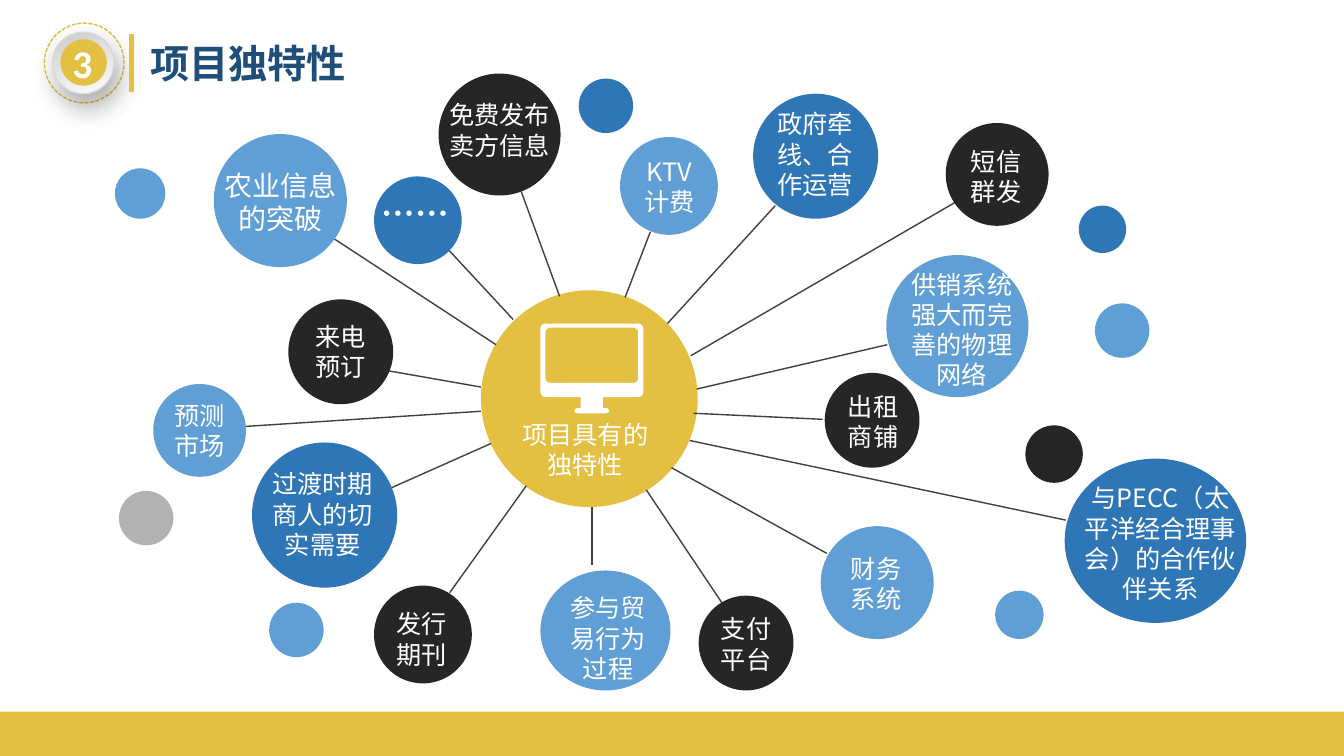
from math import cos, sin, pi
from lxml.etree import SubElement
from pptx import Presentation
from pptx.dml.color import RGBColor
from pptx.enum.dml import MSO_LINE_DASH_STYLE as Dash
from pptx.enum.shapes import MSO_CONNECTOR as Link, MSO_SHAPE as Shape
from pptx.enum.text import MSO_AUTO_SIZE as Fit, PP_ALIGN as Align
from pptx.oxml.ns import qn
from pptx.util import Emu, Inches, Pt

HUES = {
    "gold": "E3BF42", "navy": "1F4E79", "blue": "2F76B7", "sky": "609ED6",
    "black": "262626", "grey": "B2B2B2", "line": "404040", "white": "FFFFFF",
    "rim": "D9D9D9", "dim": "CCCCCC", "pale": "FCFCFC", "shade": "000000",
}
CELL = Inches(0.1)  # the grid is 133.3 columns by 75 rows
HAN, LATIN = "Noto Sans CJK SC", "Calibri"

# from column, from row, to column, to row
SPOKES = [
    (68.4, 43.7, 105.7, 51.6), (66.6, 46.4, 82, 54.9), (64.1, 48.6, 71.6, 59.8),
    (58.7, 50.3, 58.7, 56.1), (33, 23.6, 49.2, 34.2), (51.7, 19, 55.5, 29.4),
    (76.9, 20.4, 66.2, 32.1), (88, 34.2, 69.1, 38.6), (94.7, 20.1, 68.5, 35.3),
    (64.5, 23, 62, 29.5), (48.7, 44, 38.8, 48.4), (47.7, 38.4, 38.6, 36.8),
    (52.2, 48.2, 44.6, 58.8), (47.7, 40.8, 24.4, 42.3), (81.6, 41.6, 68.8, 41),
    (44.5, 24.8, 50.9, 31.7),
]

# hue, column, row, width
DOTS = [
    ("blue", 57.4, 7.8, 5.4), ("sky", 26.7, 59.8, 5.4), ("blue", 107, 20.4, 4.7),
    ("sky", 98.7, 58.6, 4.8), ("black", 101.7, 42.2, 5.7), ("grey", 11.8, 48.7, 5.4),
    ("sky", 11.4, 16.7, 5), ("sky", 108.6, 30.1, 5.4),
]

# hue, disc box, words, lines, left, top and width of the words
TOPICS = [
    ("sky", (87.9, 25.3, 14.1, 14.1), "供销系统强大而完善的物理网络", 4, (88.6, 26.2, 13.6)),
    ("blue", (105.6, 45.5, 18, 16.3), "与PECC（太平洋经合理事会）的合作伙伴关系", 4, (106.6, 47.4, 17)),
    ("blue", (25, 43.9, 14.4, 14.4), "过渡时期商人的切实需要", 3, (25.2, 46, 13.6)),
    ("black", (43.5, 7.3, 12.1, 12.1), "免费发布卖方信息", 2, (43.5, 9.4, 12.1)),
    ("blue", (74.7, 9.3, 12.4, 12.4), "政府牵线、合作运营", 3, (75.2, 10.3, 11.3)),
    ("sky", (61.5, 13.6, 9.7, 9.7), "KTV计费", 2, (62, 15, 8.8)),
    ("black", (93.8, 12.2, 10.2, 10.2), "短信群发", 2, (94.4, 14, 8.8)),
    ("sky", (81.4, 52.2, 11.2, 11.2), "财务系统", 2, (82.5, 54.4, 8.8)),
    ("sky", (53.6, 56.6, 12.9, 11.9), "参与贸易行为过程", 3, (54.4, 58.3, 11.8)),
    ("sky", (21.2, 13.3, 13.2, 13.2), "农业信息的突破", 2, (21.2, 16.2, 13.2), 20),
    ("black", (28.6, 29.7, 10.4, 10.4), "来电预订", 2, (29.3, 31.4, 8.9)),
    ("black", (37.1, 58.1, 9.7, 9.7), "发行期刊", 2, (37.4, 59.9, 8.8)),
    ("black", (69.3, 59.1, 9.4, 9.4), "支付平台", 2, (69.6, 60.4, 8.8)),
    ("sky", (15.2, 38.1, 9.2, 9.2), "预测市场", 2, (15.4, 39.2, 8.8)),
    ("black", (81.8, 37, 9.4, 9.4), "出租商铺", 2, (82.2, 38.3, 8.8)),
    ("blue", (37.1, 17.5, 8.7, 8.7), "……", 1, (36.8, 18.6, 8.8), 24, True),
]


def grid(*cells):
    return [Emu(round(cell * CELL)) for cell in cells]


def rgb(hue):
    return RGBColor.from_string(HUES[hue])


def curve(left, top, wide, high, bend, steps=6):
    """Points of a box with rounded corners, clockwise from the top left."""
    hubs = [(left + bend, top + bend), (left + wide - bend, top + bend),
            (left + wide - bend, top + high - bend), (left + bend, top + high - bend)]
    return [grid(x + bend * cos(turn), y + bend * sin(turn))
            for side, (x, y) in enumerate(hubs)
            for turn in (pi + (side + step / steps) * pi / 2 for step in range(steps + 1))]


class Board:
    def __init__(self, deck):
        self.slide = deck.slides.add_slide(deck.slide_layouts[6])
        self.items = self.slide.shapes

    def paint(self, item, fill, edge=None):
        item.shadow.inherit = False
        if fill:
            item.fill.solid()
            item.fill.fore_color.rgb = rgb(fill)
        else:
            item.fill.background()
        if edge:
            item.line.color.rgb = rgb(edge)
            item.line.width = Pt(1)
        else:
            item.line.fill.background()
        return item

    def block(self, box, fill, edge=None):
        return self.paint(self.items.add_shape(Shape.RECTANGLE, *grid(*box)), fill, edge)

    def disc(self, box, fill, edge=None):
        return self.paint(self.items.add_shape(Shape.OVAL, *grid(*box)), fill, edge)

    def spoke(self, *ends):
        link = self.items.add_connector(Link.STRAIGHT, *grid(*ends))
        link.line.color.rgb = rgb("line")
        link.line.width = Pt(1)
        SubElement(link._element.spPr, qn("a:effectLst"))

    def form(self, *boxes):
        """Draw rounded boxes as one outline; an inner box cuts a hole."""
        paths = [curve(*box) for box in boxes]
        pen = self.items.build_freeform(*paths[0][0])
        for count, path in enumerate(paths):
            if count:
                pen.move_to(*path[0])
            pen.add_line_segments(path[1:], close=True)
        self.paint(pen.convert_to_shape(), "white")

    def words(self, text, lines, place, size=18, bold=False, hue="white",
              font=HAN, wrap=True):
        left, top, wide = place
        high = 1 + lines * size / 6  # insets plus lines spaced at 1.2
        frame = self.items.add_textbox(*grid(left, top, wide, high)).text_frame
        frame.word_wrap = wrap
        frame.auto_size = Fit.SHAPE_TO_FIT_TEXT
        para = frame.paragraphs[0]
        para.alignment = Align.CENTER if wrap else Align.LEFT
        run = para.add_run()
        run.text = text
        run.font.size = Pt(size)
        run.font.bold = bold
        run.font.color.rgb = rgb(hue)
        run.font.name = font
        SubElement(run._r.rPr, qn("a:ea"), typeface=font)

    def plate(self, box):
        """Draw the shaded disc under the slide's number."""
        item = self.disc(box, "pale", "rim")
        item.fill.gradient()
        item.fill.gradient_angle = 290
        for stop, hue in zip(item.fill.gradient_stops, ("dim", "pale")):
            stop.color.rgb = rgb(hue)
        glow = SubElement(item._element.spPr.find(qn("a:effectLst")), qn("a:outerShdw"),
                          blurRad=str(Pt(20)), dist=str(Pt(10)), dir="4200000",
                          algn="ctr", rotWithShape="0")
        tone = SubElement(glow, qn("a:srgbClr"), val=HUES["shade"])
        SubElement(tone, qn("a:alpha"), val="34000")

    def topic(self, hue, box, text, lines, place, size=18, bold=False):
        self.disc(box, hue)
        self.words(text, lines, place, size, bold)


def main():
    deck = Presentation()
    deck.slide_width, deck.slide_height = Inches(13.33), Inches(7.5)
    board = Board(deck)
    board.block((0, 70.6, 133.3, 4.4), "gold")

    board.disc((4.4, 2.3, 7.9, 7.9), None, "gold").line.dash_style = Dash.SQUARE_DOT
    board.plate((5.2, 3.2, 6.1, 6.1))
    board.disc((6, 3.9, 4.6, 4.6), "gold")
    board.words("3", 1, (6.2, 3.4, 4), 28, True, font=LATIN, wrap=False)
    board.words("项目独特性", 1, (13.9, 3.4, 21.7), 28, True, "navy", wrap=False)
    board.block((12.9, 3.4, 0.3, 5.7), "gold", "gold")

    board.disc((47.7, 28.8, 21.5, 21.5), "gold")
    board.form((53.6, 32.1, 10.2, 7.3, 0.5), (54.1, 32.5, 9.2, 5.5, 0.5))
    board.form((57, 40.5, 3.4, 0.5, 0.25), (57.6, 39.2, 2.2, 1.3, 0))
    for ends in SPOKES:
        board.spoke(*ends)
    for hue, left, top, wide in DOTS:
        board.disc((left, top, wide, wide), hue)
    board.words("项目具有的独特性", 2, (49.9, 41.1, 16.3))
    for topic in TOPICS:
        board.topic(*topic)
    deck.save("out.pptx")


if __name__ == "__main__":
    main()
